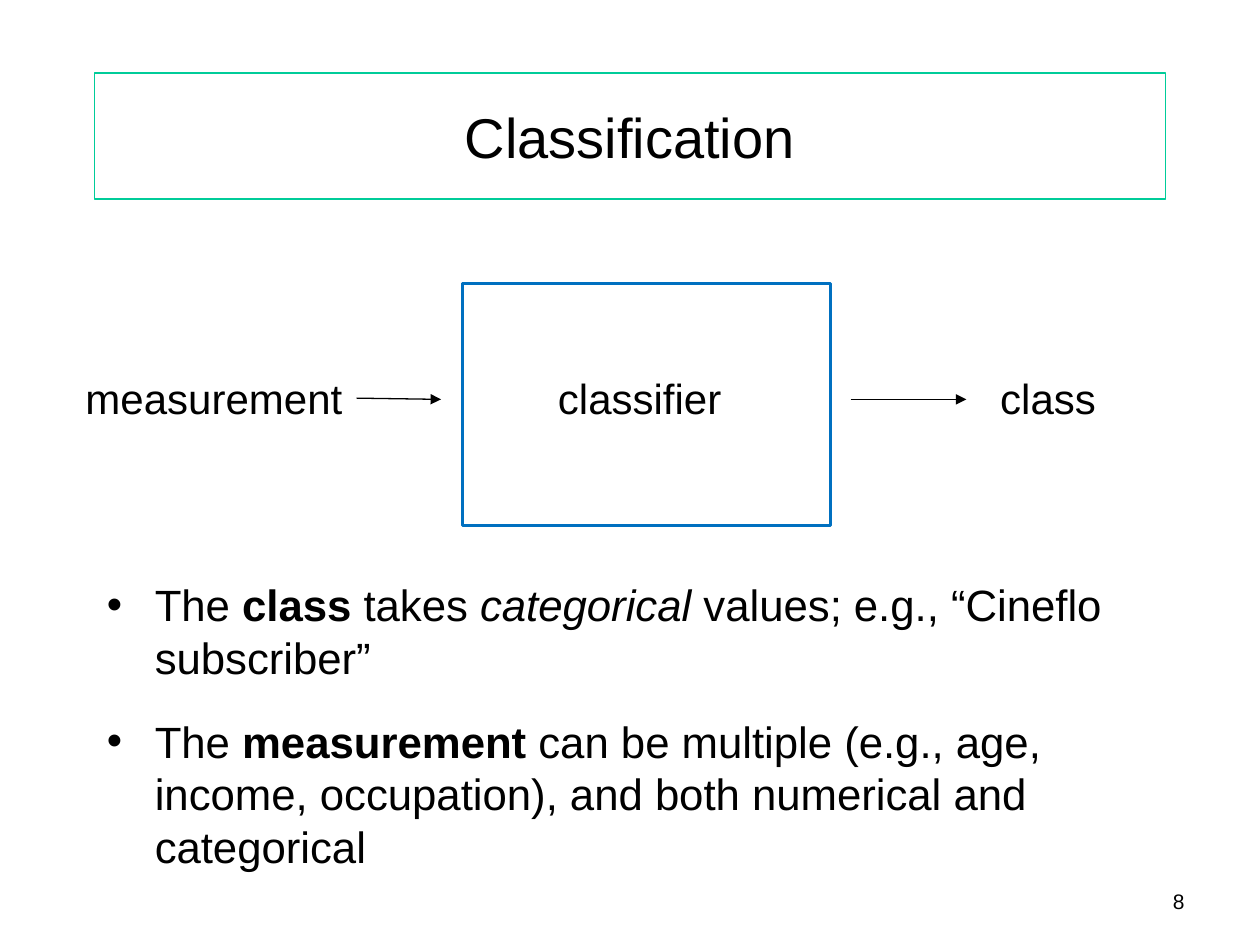
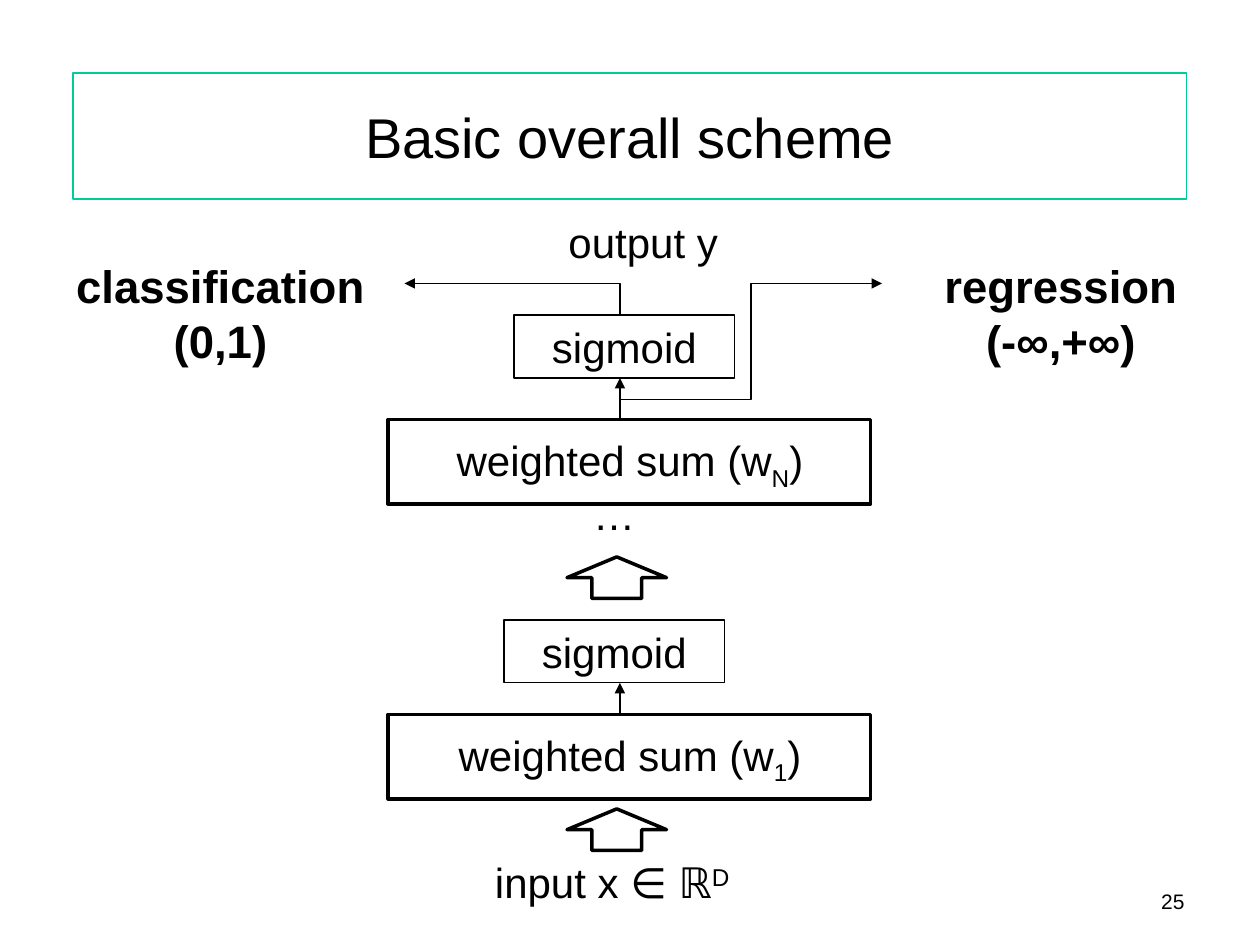
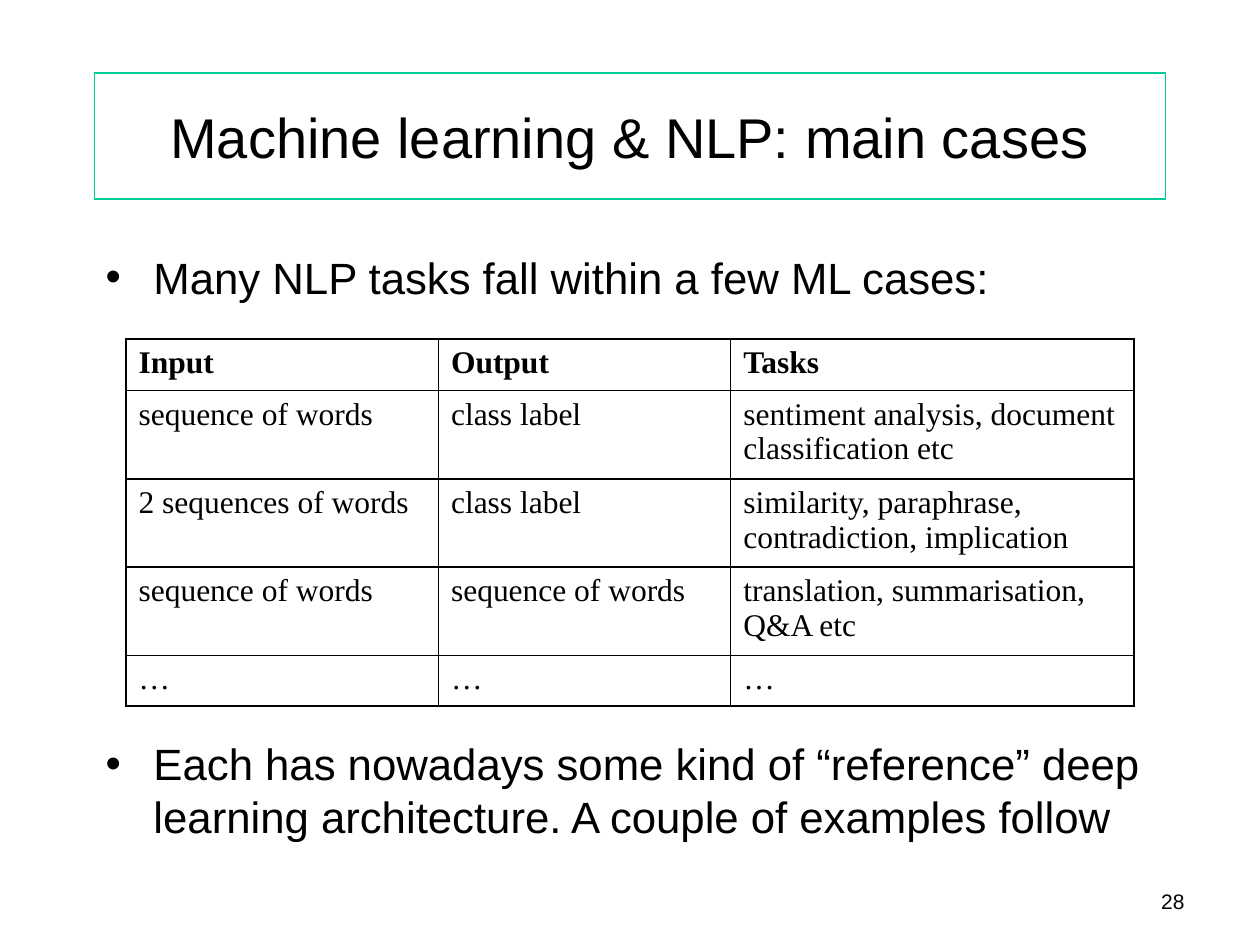
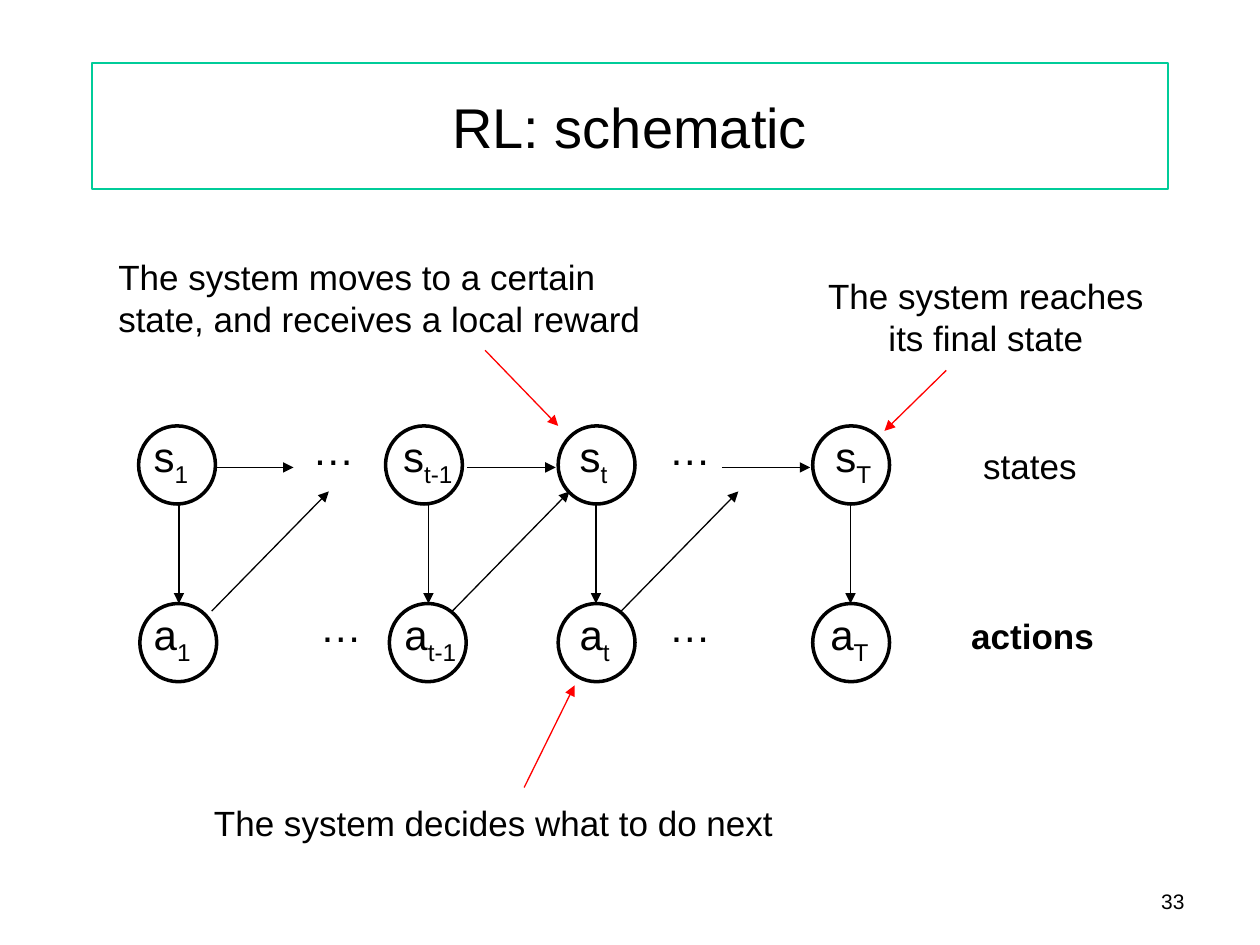
from dataclasses import dataclass

from pptx import Presentation
from pptx.dml.color import RGBColor
from pptx.enum.shapes import MSO_CONNECTOR as CONN, MSO_SHAPE as SHAPE
from pptx.enum.text import MSO_ANCHOR as ANCHOR, PP_ALIGN as ALIGN
from pptx.oxml.ns import qn
from pptx.util import Inches, Pt
from lxml.etree import SubElement


@dataclass(frozen=True)
class Theme:
    ink: str = "000000"
    frame: str = "00CC99"
    blue: str = "0070C0"
    red: str = "FF0000"
    sans: str = "Arial"
    serif: str = "Times New Roman"
    title: int = 32
    heading: int = 26
    body: int = 25
    label: int = 24
    note: int = 20
    cell: int = 18
    number: int = 12
    thin: float = 0.75
    wire: float = 1
    thick: float = 2


T = Theme()
BOLD, ITALIC = {"bold": True}, {"italic": True}


def sub(text):
    return text, {"baseline": -25}


def sup(text):
    return text, {"baseline": 30}


class Deck:
    def __init__(self):
        self.prs = Presentation()
        self.prs.slide_width, self.prs.slide_height = Inches(10), Inches(7.5)
        self.s = None

    def slide(self, title, number, left=0.75, top=0.58):
        """Start a slide with its framed title and page number."""
        self.s = self.prs.slides.add_slide(self.prs.slide_layouts[6])
        self.text((9, 7, 0.5, 0.33), str(number), size=T.number, align=ALIGN.RIGHT)
        self.shape((left, top, 10 - 2 * left, 1), line=T.frame,
                   text=title, size=T.title)

    def runs(self, p, runs, size, font=T.sans, **common):
        """Runs are plain strings or (string, format) pairs."""
        for run in [runs] if isinstance(runs, str) else runs:
            text, fmt = (run, {}) if isinstance(run, str) else run
            r = p.add_run()
            r.text = text
            r.font.color.rgb = RGBColor.from_string(T.ink)
            values = {"size": Pt(size), "name": font, **common, **fmt}
            for key, value in values.items():
                if key == "baseline":
                    r.font._element.set(key, str(value * 1000))
                else:
                    setattr(r.font, key, value)

    def fill_frame(self, tf, paragraphs, size, align, **fmt):
        tf.word_wrap = True
        for i, runs in enumerate(paragraphs):
            p = tf.add_paragraph() if i else tf.paragraphs[0]
            p.alignment = align
            self.runs(p, runs, size, **fmt)

    def text(self, box, *paragraphs, size=T.label, align=ALIGN.LEFT,
             inset=True, **fmt):
        sp = self.s.shapes.add_textbox(*map(Inches, box))
        tf = sp.text_frame
        if not inset:
            for side in ("left", "top", "right", "bottom"):
                setattr(tf, "margin_" + side, 0)
        self.fill_frame(tf, paragraphs, size, align, **fmt)
        return tf

    def bullets(self, box, *items):
        """Items are (space before, runs) pairs."""
        tf = self.text(box, *(runs for _, runs in items), size=T.body)
        for p, (space, _) in zip(tf.paragraphs, items):
            p.space_before = Pt(space)
            pPr = p._p.get_or_add_pPr()
            pPr.set("marL", str(Inches(0.38)))
            pPr.set("indent", str(-Inches(0.38)))
            SubElement(pPr, qn("a:buFont"), typeface=T.sans)
            SubElement(pPr, qn("a:buChar"), char="•")

    def shape(self, box, kind=SHAPE.RECTANGLE, line=T.ink, width=T.thin,
              text=None, size=T.label):
        sp = self.s.shapes.add_shape(kind, *map(Inches, box))
        sp.shadow.inherit = False
        sp.fill.background()
        sp.line.color.rgb = RGBColor.from_string(line)
        sp.line.width = Pt(width)
        if text:
            sp.text_frame.vertical_anchor = ANCHOR.MIDDLE
            self.fill_frame(sp.text_frame, [text], size, ALIGN.CENTER)

    def arrow(self, x1, y1, x2, y2, color=T.ink, width=T.thin,
              kind=CONN.STRAIGHT):
        c = self.s.shapes.add_connector(kind, *map(Inches, (x1, y1, x2, y2)))
        c.line.color.rgb = RGBColor.from_string(color)
        c.line.width = Pt(width)
        SubElement(c.line._get_or_add_ln(), qn("a:tailEnd"), type="triangle")
        SubElement(c._element.spPr, qn("a:effectLst"))
        return c

    def corner_arrow(self, *ends):
        """One-bend arrow, drawn upright and turned by 270 degrees."""
        spPr = self.arrow(*ends, width=T.wire, kind=CONN.ELBOW)._element.spPr
        spPr.find(qn("a:prstGeom")).set("prst", "bentConnector2")
        spPr.find(qn("a:xfrm")).set("rot", str(270 * 60000))

    def table(self, left, top, widths, heights, rows):
        gf = self.s.shapes.add_table(
            len(rows), len(widths), Inches(left), Inches(top),
            Inches(sum(widths)), Inches(sum(heights)))
        tbl = gf.table
        tbl.horz_banding = False
        for col, w in zip(tbl.columns, widths):
            col.width = Inches(w)
        for i, (row, h) in enumerate(zip(rows, heights)):
            tbl.rows[i].height = Inches(h)
            for j, value in enumerate(row):
                cell = tbl.cell(i, j)
                self.runs(cell.text_frame.paragraphs[0], value, T.cell,
                          font=T.serif, bold=i == 0)
                tcPr = cell._tc.get_or_add_tcPr()
                for side in ("lnL", "lnR", "lnT", "lnB"):
                    ln = SubElement(tcPr, qn("a:" + side), w=str(Pt(T.wire)))
                    fill = SubElement(ln, qn("a:solidFill"))
                    SubElement(fill, qn("a:srgbClr"), val=T.ink)
                cell.fill.background()


d = Deck()

# Classification: measurement -> classifier -> class
d.slide("Classification", 8)
d.bullets(
    (0.75, 4.54, 8.75, 2.54),
    (0, ["The ", ("class", BOLD), " takes ", ("categorical", ITALIC),
         " values; e.g., “Cineflo subscriber”"]),
    (18, ["The ", ("measurement", BOLD), " can be multiple (e.g., age, income, "
          "occupation), and both numerical and categorical"]))
d.shape((3.67, 2.25, 2.92, 1.92), line=T.blue, width=T.thick)
for x, w, label in ((4.33, 1.67, "classifier"), (0.58, 2.25, "measurement"),
                    (7.84, 1.33, "class")):
    d.text((x, 2.91, w, 0.51), label)
d.arrow(2.83, 3.16, 3.5, 3.17)
d.arrow(6.75, 3.17, 7.67, 3.17)

# Network scheme: two layers, bottom to top
d.slide("Basic overall scheme", 25, left=0.58)
for sum_top, index, sig_left, sig_top, block_top in (
        (5.67, "1", 4, 4.92, 6.42), (3.33, "N", 4.08, 2.5, 4.42)):
    d.shape((3.08, sum_top, 3.83, 0.67), width=T.thick)
    d.text((3.25, sum_top + 0.07, 3.5, 0.5),
           ["weighted sum (w", sub(index), ")"], align=ALIGN.CENTER)
    d.shape((4.5, block_top, 0.79, 0.33), SHAPE.UP_ARROW, width=T.thick)
    d.shape((sig_left, sig_top, 1.75, 0.5), text="sigmoid")
    d.arrow(4.92, sum_top, 4.92, sig_top + 0.5, width=T.wire)
d.text((3.83, 6.75, 2.25, 0.5), ["input x ∈ ℝ", sup("D")])
d.text((4, 3.83, 1.75, 0.5), "…", align=ALIGN.CENTER)
d.text((3.98, 1.67, 2.25, 0.5), "output y", align=ALIGN.CENTER)
for x, task, span in ((0.5, "classification", "(0,1)"),
                      (7.17, "regression", "(-∞,+∞)")):
    d.text((x, 2, 2.5, 0.98), task, span, size=T.heading,
           align=ALIGN.CENTER, bold=True)
d.corner_arrow(3.94, 3.23, 4.19, 1.52)
d.arrow(4.92, 3.17, 7, 2.25, width=T.wire, kind=CONN.ELBOW)

# Table of main cases
d.slide("Machine learning & NLP: main cases", 28)
d.bullets(
    (0.74, 1.94, 8.5, 4.81),
    (0, "Many NLP tasks fall within a few ML cases:"),
    (248, "Each has nowadays some kind of “reference” deep learning "
          "architecture. A couple of examples follow"))
d.table(1, 2.69, (2.48, 2.32, 3.2), (0.41, 0.7, 0.7, 0.7, 0.4), (
    ("Input", "Output", "Tasks"),
    ("sequence of words", "class label",
     "sentiment analysis, document classification etc"),
    ("2 sequences of words", "class label",
     "similarity, paraphrase, contradiction, implication"),
    ("sequence of words", "sequence of words",
     "translation, summarisation, Q&A etc"),
    ("…", "…", "…")))

# Reinforcement learning: chain of states above chain of actions
d.slide("RL: schematic", 33, left=0.73, top=0.5)
steps = ("1", "t-1", "t", "T")
for name, top, lefts, label_lefts, dots in (
        ("s", 3.38, (1.1, 3.06, 4.43, 6.45), (1.22, 3.2, 4.6, 6.63), (2.38, 5.21)),
        ("a", 4.79, (1.11, 3.09, 4.43, 6.45), (1.22, 3.21, 4.6, 6.59), (2.44, 5.21))):
    for step, x, label_x in zip(steps, lefts, label_lefts):
        d.shape((x, top, 0.61, 0.62), SHAPE.OVAL, width=T.thick)
        d.text((label_x, top + 0.04, 0.48, 0.4), [name, sub(step)], inset=False)
    for x in dots:
        d.text((x, top - 0.07, 0.65, 0.5), "…")

for x1, x2 in ((1.72, 2.33), (3.71, 4.41), (5.73, 6.43)):
    d.arrow(x1, 3.71, x2, 3.71)
for x in (1.42, 3.4, 4.73, 6.75):
    d.arrow(x, 3.99, x, 4.79)
for x in (1.68, 3.59, 4.93):
    d.arrow(x, 4.85, x + 0.93, 3.9)

# Row names and remarks
d.text((7.51, 3.48, 1.33, 0.44), "states", size=T.note, align=ALIGN.CENTER)
d.text((7.27, 4.83, 1.85, 0.44), "actions", size=T.note, align=ALIGN.CENTER,
       bold=True)
for box, remark, align, pointer in (
        ((0.84, 1.98, 4.58, 0.77),
         "The system moves to a certain state, and receives a local reward",
         ALIGN.LEFT, (3.85, 2.78, 4.43, 3.38)),
        ((1.6, 6.31, 5.17, 0.44), "The system decides what to do next",
         ALIGN.LEFT, (4.16, 6.25, 4.56, 5.44)),
        ((6.4, 2.13, 2.85, 0.77), "The system reaches its final state",
         ALIGN.CENTER, (7.51, 2.94, 7.02, 3.42))):
    d.text(box, remark, size=T.note, align=align)
    d.arrow(*pointer, color=T.red)

d.prs.save("out.pptx")
